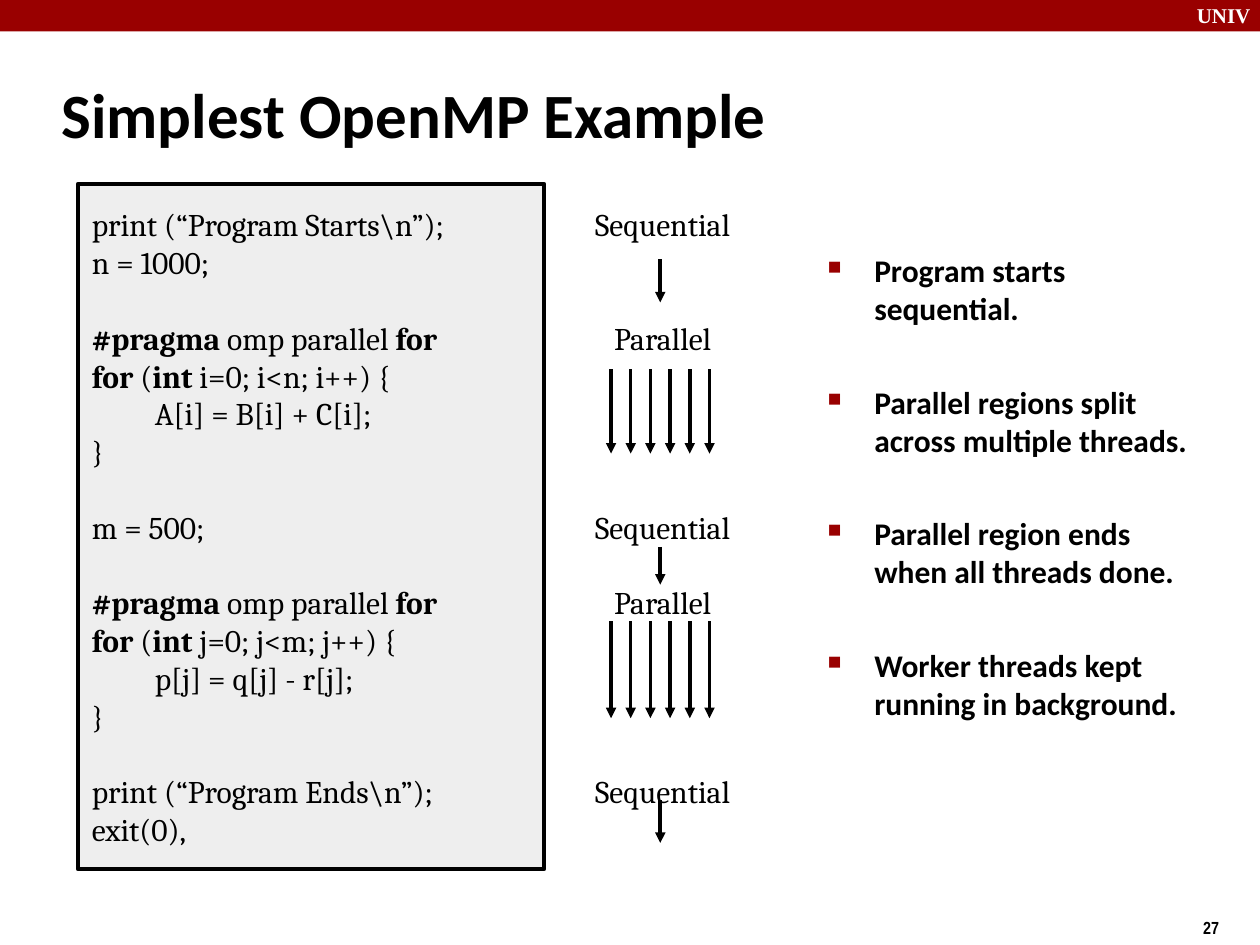
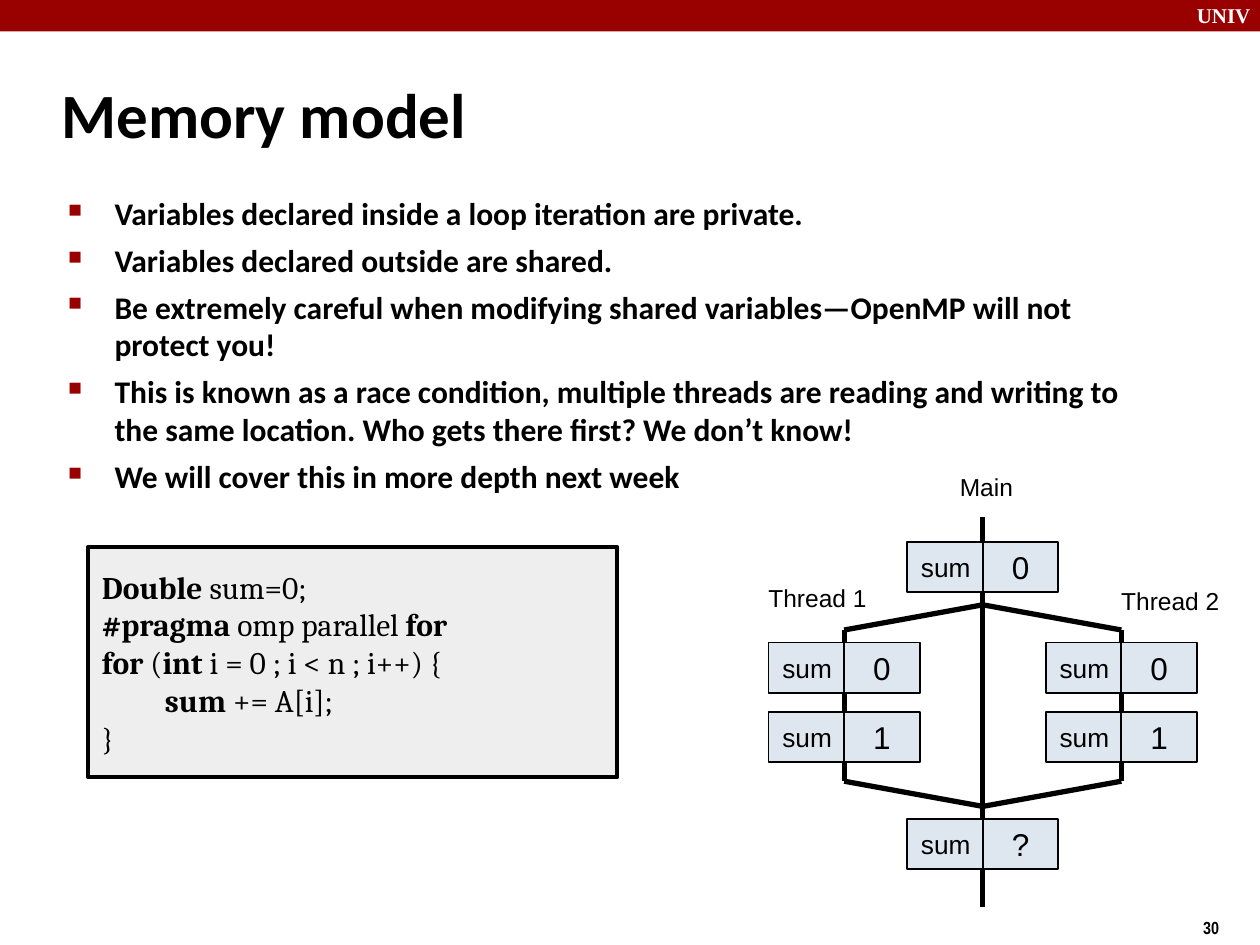
from lxml import etree
from pptx import Presentation
from pptx.dml.color import RGBColor
from pptx.enum.shapes import MSO_CONNECTOR, MSO_SHAPE
from pptx.enum.text import MSO_ANCHOR, PP_ALIGN
from pptx.oxml.ns import qn
from pptx.util import Pt

RECT, STRAIGHT = MSO_SHAPE.RECTANGLE, MSO_CONNECTOR.STRAIGHT
TOP, MIDDLE = MSO_ANCHOR.TOP, MSO_ANCHOR.MIDDLE
LEFT, CENTER = PP_ALIGN.LEFT, PP_ALIGN.CENTER

# Shared style
RED, BLACK, WHITE, CODE_BG, CELL_BG = "990000", "000000", "FFFFFF", "EEEEEE", "DEE6EF"
BAND_FONT = {"name": "Times New Roman", "size": Pt(12), "bold": True}
NUMBER_FONT = {"name": "Arial Narrow", "size": Pt(10), "bold": True}
TITLE_FONT = {"name": "Calibri", "size": Pt(36), "bold": True}
BULLET_FONT = {"name": "Calibri", "size": Pt(18), "bold": True}
CODE_FONT = {"name": "Cambria", "size": Pt(18)}
NAME_FONT = {"name": "Arial", "size": Pt(15)}
VALUE_FONT = {"name": "Arial", "size": Pt(18)}
LABEL_FONT = {"name": "Arial", "size": Pt(14)}
TEXT_INSETS, BOX_INSETS = (7.2, 3.6), (7.9, 4.3)
CODE_LINE = 21.6  # height of one line of code

# Content: ** switches bold on and off, an empty line is a gap
EXAMPLE = {
    "title": "Simplest OpenMP Example",
    "number": "27",
    "bullets": [
        "Program starts sequential.",
        "Parallel regions split across multiple threads.",
        "Parallel region ends when all threads done.",
        "Worker threads kept running in background.",
    ],
    "code": [
        r"print (“Program Starts\n”);",
        "n = 1000;",
        "",
        "**#pragma** omp parallel **for**",
        "**for** (**int** i=0; i<n; i++) {",
        "\tA[i] = B[i] + C[i];",
        "}",
        "",
        "m = 500;",
        "",
        "**#pragma** omp parallel **for**",
        "**for** (**int** j=0; j<m; j++) {",
        "\tp[j] = q[j] - r[j];",
        "}",
        "",
        r"print (“Program Ends\n”);",
        "exit(0),",
    ],
    "phases": ["Sequential", "", "", "Parallel", "", "", "", "", "Sequential", "",
               "Parallel", "", "", "", "", "Sequential"],
}
# Arrows under each phase: top, bottom, number of threads
PHASE_ARROWS = [(148.3, 172.8, 1), (211, 259.2, 6), (312.5, 334.1, 1),
                (355, 410.4, 6), (457.2, 481.7, 1)]
ARROW_MID, ARROW_STEP = 377.3, 11.25

MEMORY = {
    "title": "Memory model",
    "number": "30",
    "bullets": [
        "Variables declared inside a loop iteration are private.",
        "Variables declared outside are shared.",
        "Be extremely careful when modifying shared variables—OpenMP will not protect you!",
        "This is known as a race condition, multiple threads are reading and writing to "
        "the same location. Who gets there first? We don’t know!",
        "We will cover this in more depth next week",
    ],
    "code": [
        "**Double **sum=0;",
        "**#pragma** omp parallel **for**",
        "**for** (**int** i = 0 ; i < n ; i++) {",
        "\t**sum** += A[i];",
        "}",
    ],
}
MAIN_X, THREAD_XS = 561.6, (482.4, 640.8)
FORK_Y, START_Y, END_Y, JOIN_Y = 345.6, 360, 446.4, 460.8
CELL_W, CELL_H = 43.2, 28.8
# Variable boxes: middle x, top, value of sum
SUMS = [(MAIN_X, 309.6, "0"), (MAIN_X, 468, "?")]
SUMS += [(x, y, value) for y, value in ((367.2, "0"), (406.8, "1")) for x in THREAD_XS]
THREAD_LABELS = [("Thread 1", 432, 329.8, 72), ("Thread 2", 633.6, 331.2, 72),
                 ("Main", 541.4, 266.4, 50.4)]


def rgb(color):
    return RGBColor.from_string(color)


def write(sp, lines, font, color=BLACK, align=LEFT, anchor=TOP, insets=TEXT_INSETS,
          wrap=True, gap=0, line_height=0):
    """Fill a shape with paragraphs; return them."""
    tf = sp.text_frame
    dx, dy = map(Pt, insets)
    frame = {"word_wrap": wrap, "vertical_anchor": anchor, "margin_left": dx,
             "margin_right": dx, "margin_top": dy, "margin_bottom": dy}
    for key, value in frame.items():
        setattr(tf, key, value)
    paragraphs, skipped = [], 0
    for line in lines:
        if not line:
            skipped += 1
            continue
        p = tf.add_paragraph() if paragraphs else tf.paragraphs[0]
        p.alignment = align
        p.space_before = Pt(gap + skipped * line_height if paragraphs else 0)
        for i, part in enumerate(line.split("**")):
            if part:
                r = p.add_run()
                r.text = part
                for key, value in font.items():
                    setattr(r.font, key, value)
                r.font.color.rgb = rgb(color)
                if i % 2:
                    r.font.bold = True
        paragraphs.append(p)
        skipped = 0
    return paragraphs


def add_text(s, box, lines, font, **options):
    return write(s.shapes.add_textbox(*map(Pt, box)), lines, font, **options)


def add_rect(s, box, fill, line_width=0):
    sp = s.shapes.add_shape(RECT, *map(Pt, box))
    sp.shadow.inherit = False
    sp.fill.solid()
    sp.fill.fore_color.rgb = rgb(fill)
    if line_width:
        sp.line.color.rgb = rgb(BLACK)
        sp.line.width = Pt(line_width)
    else:
        sp.line.fill.background()
    return sp


def add_line(s, x1, y1, x2, y2, width, arrow=False):
    line = s.shapes.add_connector(STRAIGHT, *map(Pt, (x1, y1, x2, y2)))
    line.line.color.rgb = rgb(BLACK)
    line.line.width = Pt(width)
    if arrow:
        etree.SubElement(line.line._get_or_add_ln(), qn("a:tailEnd"), type="triangle")
    etree.SubElement(line._element.spPr, qn("a:effectLst"))


def add_bullets(s, box, items, gap):
    for p in add_text(s, box, items, BULLET_FONT, gap=gap):
        pPr = p._p.get_or_add_pPr()
        pPr.set("marL", str(Pt(27.4)))
        pPr.set("indent", str(-Pt(26.6)))
        color = etree.SubElement(pPr, qn("a:buClr"))
        etree.SubElement(color, qn("a:srgbClr"), val=RED)
        etree.SubElement(pPr, qn("a:buSzPct"), val="60000")
        etree.SubElement(pPr, qn("a:buChar"), char="■")


def add_code(s, box, lines):
    write(add_rect(s, box, CODE_BG, 2.3), lines, CODE_FONT, anchor=MIDDLE,
          insets=BOX_INSETS, line_height=CODE_LINE)


def add_slide(prs, content):
    """Blank slide with red band, title and slide number."""
    s = prs.slides.add_slide(prs.slide_layouts[6])
    add_rect(s, (0, 0, 720, 18), RED)
    add_text(s, (676.8, -2.2, 48.2, 21.6), ["UNIV"], BAND_FONT, color=WHITE)
    add_text(s, (680.4, 520.6, 36, 20.9), [content["number"]], NUMBER_FONT)
    add_text(s, (28.1, 34.6, 597.6, 59.8), [content["title"]], TITLE_FONT, anchor=MIDDLE)
    return s


def build_example(prs):
    s = add_slide(prs, EXAMPLE)
    add_bullets(s, (465.1, 140, 223.2, 364), EXAMPLE["bullets"], gap=32)
    add_code(s, (44.6, 105.1, 266.4, 391.7), EXAMPLE["code"])
    add_text(s, (313.9, 113.1, 129.6, 383.7), EXAMPLE["phases"], CODE_FONT,
             align=CENTER, insets=BOX_INSETS, line_height=CODE_LINE)
    for top, bottom, threads in PHASE_ARROWS:
        for i in range(threads):
            x = ARROW_MID + (i - (threads - 1) / 2) * ARROW_STEP
            add_line(s, x, top, x, bottom, 0, arrow=True)


def build_memory(prs):
    s = add_slide(prs, MEMORY)
    add_bullets(s, (31, 107.3, 621.4, 391.7), MEMORY["bullets"], gap=5.2)
    add_code(s, (50.4, 312.5, 302.4, 131.8), MEMORY["code"])

    # Main thread, then fork and join of the two workers
    add_line(s, MAIN_X, 295.2, MAIN_X, 518.4, 3)
    for x in THREAD_XS:
        add_line(s, MAIN_X, FORK_Y, x, START_Y, 3)
        add_line(s, x, START_Y, x, END_Y, 3)
        add_line(s, x, END_Y, MAIN_X, JOIN_Y, 3)

    # Name and value cells on both sides of each thread
    for x, y, value in SUMS:
        cells = [(x - CELL_W, "sum", NAME_FONT, LEFT), (x, value, VALUE_FONT, CENTER)]
        for left, text, font, align in cells:
            write(add_rect(s, (left, y, CELL_W, CELL_H), CELL_BG, 1), [text], font,
                  align=align, anchor=MIDDLE, insets=BOX_INSETS, wrap=False)
    for text, x, y, width in THREAD_LABELS:
        add_text(s, (x, y, width, 23), [text], LABEL_FONT)


def main():
    prs = Presentation()
    prs.slide_width, prs.slide_height = Pt(720), Pt(540)
    build_example(prs)
    build_memory(prs)
    prs.save("out.pptx")


if __name__ == "__main__":
    main()
